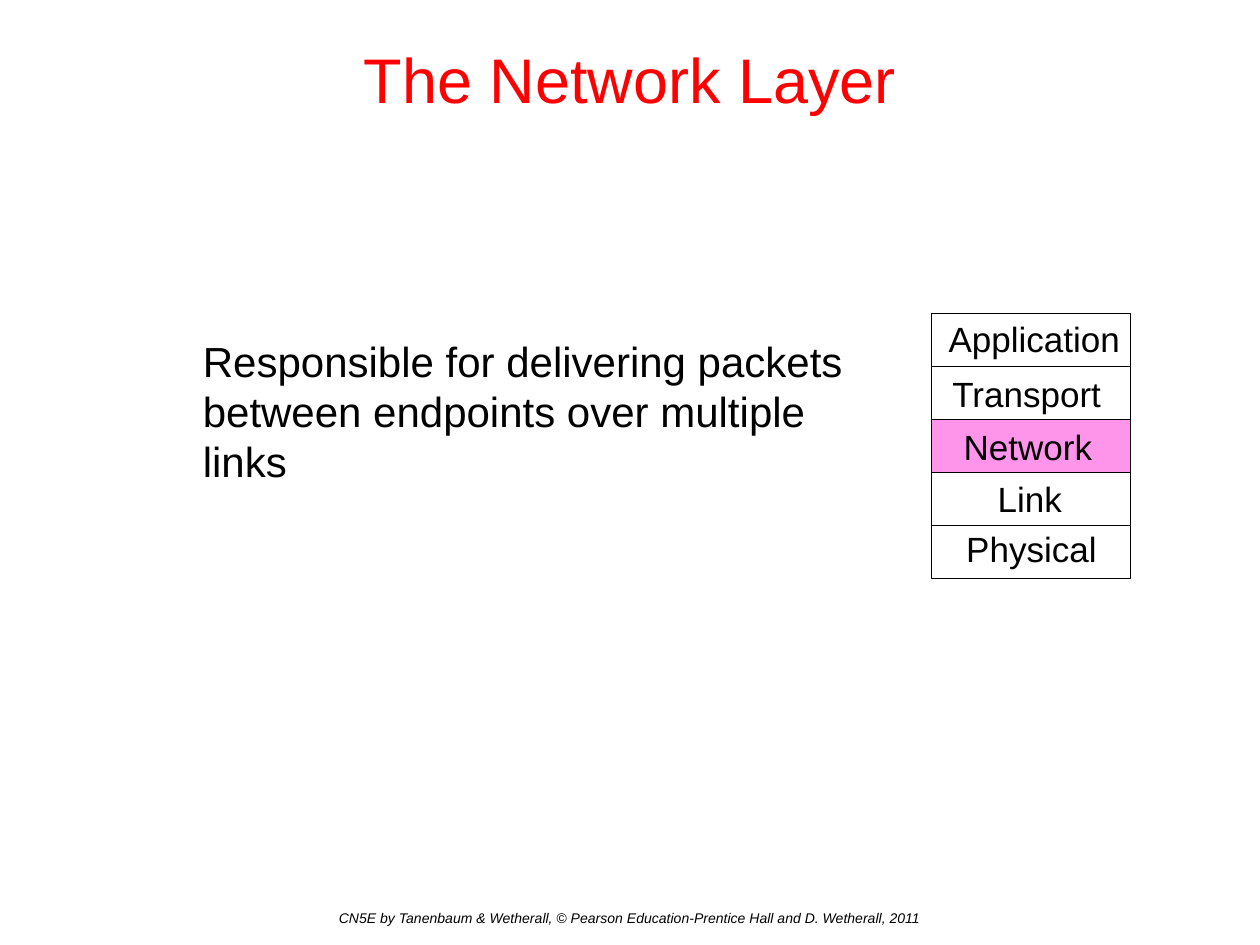
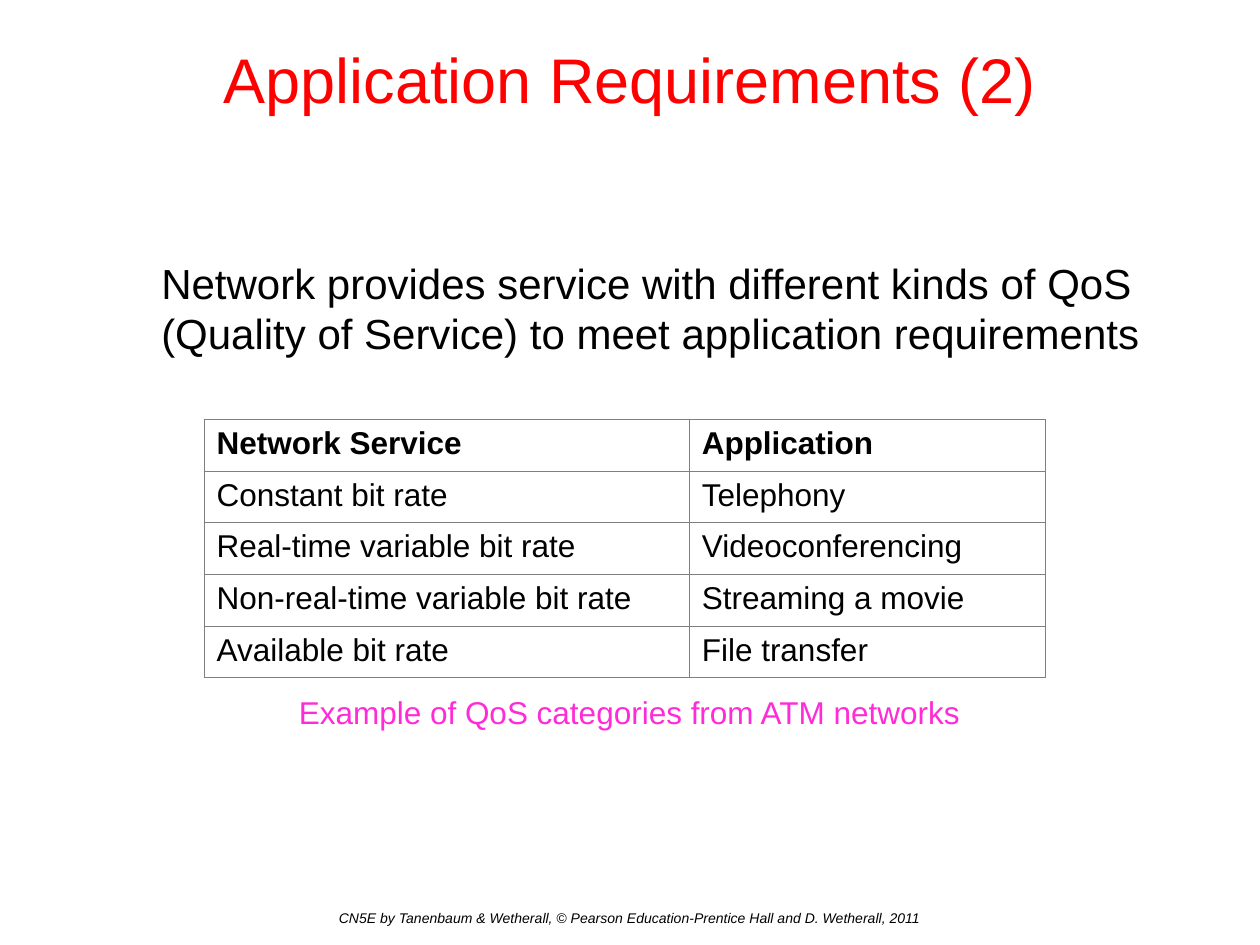
"""Build two lecture slides on the network layer."""
from lxml import etree
from pptx import Presentation
from pptx.dml.color import RGBColor
from pptx.enum import shapes, text
from pptx.oxml import ns
from pptx.util import Inches, Pt

FONT = "Arial"
RED = RGBColor(0xFF, 0x00, 0x00)
BLACK = RGBColor(0x00, 0x00, 0x00)
WHITE = RGBColor(0xFF, 0xFF, 0xFF)
GREY = RGBColor(0x7F, 0x7F, 0x7F)
PINK = RGBColor(0xFF, 0x2B, 0xD8)

FOOTER = "CN5E by Tanenbaum & Wetherall, © Pearson Education-Prentice Hall and D. Wetherall, 2011"

LAYERS_PAGE = {
    "title": "The Network Layer",
    "body": "Responsible for delivering packets between endpoints over multiple links",
    "body_at": (1.51, 2.61, 5.55, 4.4),
}
LAYER_LABELS = [
    ("Application", 7.43, 2.47, 1.6),
    ("Transport", 7.46, 2.91, 1.45),
    ("Network", 7.55, 3.33, 1.3),
    ("Link", 7.82, 3.74, 0.8),
    ("Physical", 7.57, 4.14, 1.3),
]
CURRENT_LAYER = "Network"
STACK_LEFT, STACK_TOP, LAYER_WIDTH, LAYER_HEIGHT = 7.39, 2.49, 1.58, 0.42
LABEL_HEIGHT = 0.44

QOS_PAGE = {
    "title": "Application Requirements (2)",
    "body": "Network provides service with different kinds of QoS "
            "(Quality of Service) to meet application requirements",
    "body_at": (1.18, 1.99, 8, 4.4),
}
SERVICES = [
    ("Network Service", "Application"),
    ("Constant bit rate", "Telephony"),
    ("Real-time variable bit rate", "Videoconferencing"),
    ("Non-real-time variable bit rate", "Streaming a movie"),
    ("Available bit rate", "File transfer"),
]
TABLE_LEFT, TABLE_TOP, ROW_HEIGHT = 1.62, 3.33, 0.41
COLUMN_WIDTHS = (3.85, 2.83)
CAPTION = "Example of QoS categories from ATM networks"


def inches(*lengths):
    """Convert several numbers to lengths."""
    return [Inches(length) for length in lengths]


def write(frame, content, size, color=BLACK, bold=False, italic=False,
          align=text.PP_ALIGN.LEFT, wrap=True):
    """Put one formatted paragraph into a text frame."""
    frame.word_wrap = wrap
    para = frame.paragraphs[0]
    para.alignment = align
    span = para.add_run()
    span.text = content
    span.font.name = FONT
    span.font.size = Pt(size)
    span.font.color.rgb = color
    span.font.bold = bold
    span.font.italic = italic


def place(box, at):
    """Move a placeholder and stop it from resizing its text."""
    box.left, box.top, box.width, box.height = inches(*at)
    box.text_frame.auto_size = text.MSO_AUTO_SIZE.NONE


def add_page(deck, content):
    """Add a slide with its title, body text and footer."""
    page = deck.slides.add_slide(deck.slide_layouts[1])
    title, body = page.shapes.title, page.placeholders[1]
    place(title, (0, 0, 10, 1.25))
    title.text_frame.vertical_anchor = text.MSO_ANCHOR.MIDDLE
    write(title.text_frame, content["title"], 36, RED, align=text.PP_ALIGN.CENTER)

    place(body, content["body_at"])
    para = body.text_frame.paragraphs[0]
    properties = para._p.get_or_add_pPr()
    properties.set("marL", "0")
    properties.set("indent", "0")
    etree.SubElement(properties, ns.qn("a:buNone"))
    para.space_before = Pt(0)
    write(body.text_frame, content["body"], 24)

    footer = page.shapes.add_textbox(*inches(0, 7.17, 10, 0.33))
    write(footer.text_frame, FOOTER, 8, italic=True, align=text.PP_ALIGN.CENTER)
    return page


def add_rectangle(parent, at):
    """Add a rectangle without shadow."""
    box = parent.shapes.add_shape(shapes.MSO_SHAPE.RECTANGLE, *inches(*at))
    box.shadow.inherit = False
    return box


def add_stack(page):
    """Draw the protocol layers from the bottom up and then label them."""
    stack = page.shapes.add_group_shape()
    for row, (name, *_) in reversed(list(enumerate(LAYER_LABELS))):
        layer = add_rectangle(stack, (STACK_LEFT, STACK_TOP + row * LAYER_HEIGHT,
                                      LAYER_WIDTH, LAYER_HEIGHT))
        layer.line.color.rgb = BLACK
        layer.line.width = Pt(0.75)
        if name == CURRENT_LAYER:
            layer.fill.solid()
            layer.fill.fore_color.rgb = PINK
            color = layer._element.spPr.find(ns.qn("a:solidFill"))[0]
            etree.SubElement(color, ns.qn("a:alpha"), val="50000")
        else:
            layer.fill.background()
    for name, left, top, width in LAYER_LABELS:
        label = stack.shapes.add_textbox(*inches(left, top, width, LABEL_HEIGHT))
        write(label.text_frame, name, 20, wrap=False)


def add_borders(cell):
    """Draw a thin grey line on each side of a cell."""
    properties = cell._tc.get_or_add_tcPr()
    for side in ("lnL", "lnR", "lnT", "lnB"):
        line = etree.SubElement(properties, ns.qn(f"a:{side}"), w=str(Pt(0.75)))
        fill = etree.SubElement(line, ns.qn("a:solidFill"))
        etree.SubElement(fill, ns.qn("a:srgbClr"), val=str(GREY))


def add_services(page):
    """Add the table of network services."""
    size = inches(TABLE_LEFT, TABLE_TOP, sum(COLUMN_WIDTHS), ROW_HEIGHT * len(SERVICES))
    table = page.shapes.add_table(len(SERVICES), len(COLUMN_WIDTHS), *size).table
    table.first_row = table.horz_banding = False
    for column, width in zip(table.columns, COLUMN_WIDTHS):
        column.width = Inches(width)
    for row, entries in enumerate(SERVICES):
        table.rows[row].height = Inches(ROW_HEIGHT)
        for column, entry in enumerate(entries):
            cell = table.cell(row, column)
            add_borders(cell)
            cell.fill.solid()
            cell.fill.fore_color.rgb = WHITE
            write(cell.text_frame, entry, 18, bold=row == 0)


def add_caption(page):
    """Add the caption below the table."""
    box = add_rectangle(page, (2.29, 5.5, 5.41, 0.3))
    box.fill.solid()
    box.fill.fore_color.rgb = WHITE
    box.line.fill.background()
    frame = box.text_frame
    frame.margin_left = frame.margin_right = frame.margin_top = frame.margin_bottom = 0
    write(frame, CAPTION, 18, PINK, align=text.PP_ALIGN.CENTER)


def main():
    """Build and save the deck."""
    deck = Presentation()
    deck.slide_width, deck.slide_height = inches(10, 7.5)
    add_stack(add_page(deck, LAYERS_PAGE))
    qos_page = add_page(deck, QOS_PAGE)
    add_services(qos_page)
    add_caption(qos_page)
    deck.save("out.pptx")


if __name__ == "__main__":
    main()
